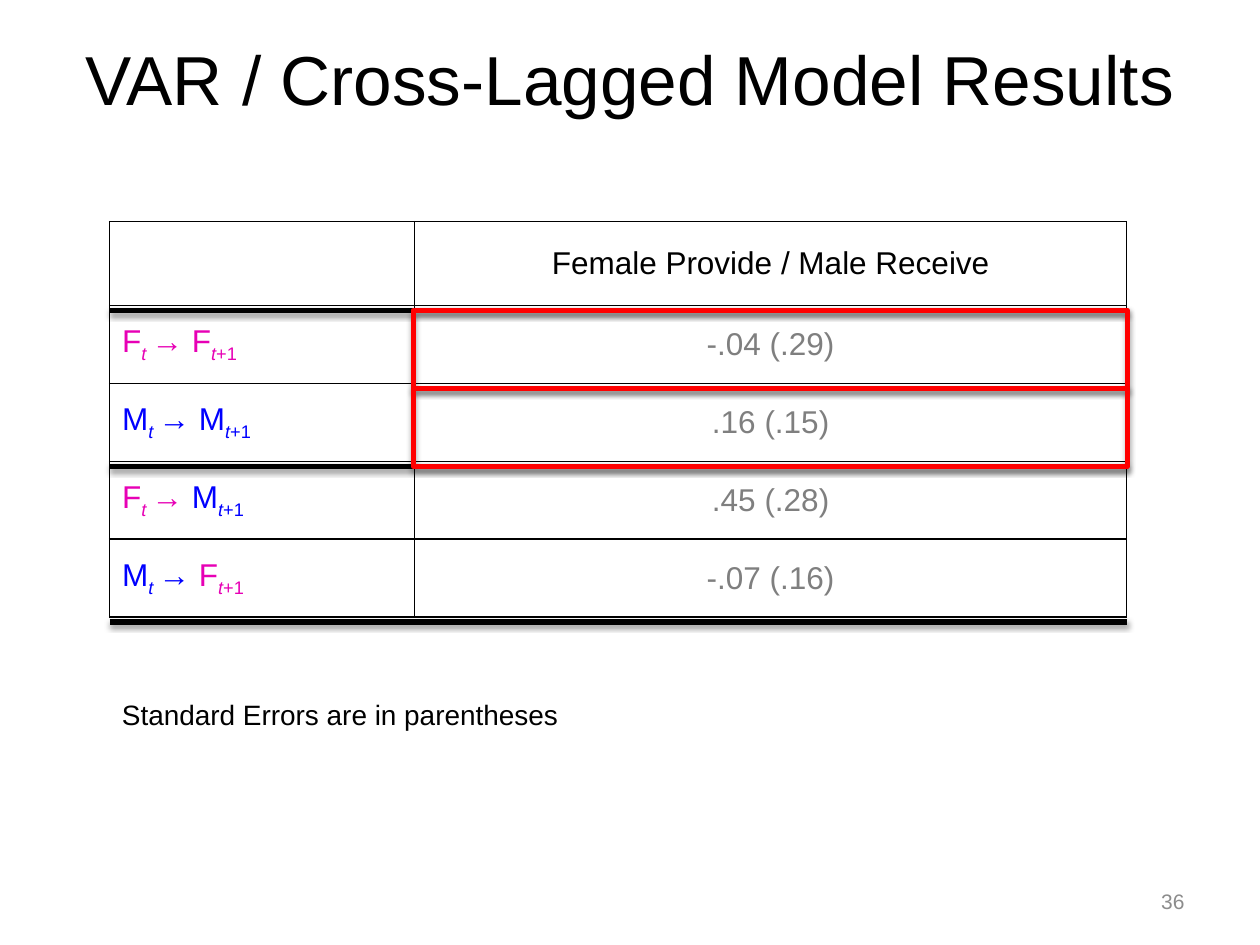
from lxml import etree
from pptx import Presentation
from pptx.dml.color import RGBColor
from pptx.enum.shapes import MSO_CONNECTOR, MSO_SHAPE
from pptx.enum.text import MSO_ANCHOR, PP_ALIGN
from pptx.oxml.ns import qn
from pptx.util import Cm, Pt

LEFT, CENTER, RIGHT = PP_ALIGN.LEFT, PP_ALIGN.CENTER, PP_ALIGN.RIGHT
TOP, MIDDLE = MSO_ANCHOR.TOP, MSO_ANCHOR.MIDDLE
STRAIGHT, RECTANGLE = MSO_CONNECTOR.STRAIGHT, MSO_SHAPE.RECTANGLE

BLACK = RGBColor(0x00, 0x00, 0x00)
GRAY = RGBColor(0x7F, 0x7F, 0x7F)
NUMBER_GRAY = RGBColor(0x8C, 0x8C, 0x8C)
RED = RGBColor(0xFF, 0x00, 0x00)
PERSON_COLORS = {"F": RGBColor(0xE7, 0x00, 0xB5), "M": RGBColor(0x00, 0x00, 0xFF)}

FONT = "Arial"
COLUMN_WIDTHS = (6.15, 14.35)
HEADER_HEIGHT, ROW_HEIGHT = 1.69, 1.57
HEADER = "Female Provide / Male Receive"
RESULTS = [
    ("F", "F", "-.04 (.29)"),
    ("M", "M", ".16 (.15)"),
    ("F", "M", ".45 (.28)"),
    ("M", "F", "-.07 (.16)"),
]


def add_run(paragraph, text, size, color, italic=False, subscript=False):
    run = paragraph.add_run()
    run.text = text
    formats = {"name": FONT, "size": Pt(size), "italic": italic}
    for name, value in formats.items():
        setattr(run.font, name, value)
    run.font.color.rgb = color
    if subscript:
        run._r.get_or_add_rPr().set("baseline", "-25000")


def add_text(slide, box, text, size, color, align=LEFT, anchor=TOP):
    frame = slide.shapes.add_textbox(*map(Cm, box)).text_frame
    formats = {"word_wrap": True, "vertical_anchor": anchor}
    for name, value in formats.items():
        setattr(frame, name, value)
    paragraph = frame.paragraphs[0]
    paragraph.alignment = align
    add_run(paragraph, text, size, color)


def add_shadow(shape, distance, opacity):
    """Give the shape a soft shadow falling straight down."""
    properties = shape._element.spPr
    effects = properties.find(qn("a:effectLst"))
    if effects is None:
        effects = etree.SubElement(properties, qn("a:effectLst"))
    shadow = etree.SubElement(
        effects, qn("a:outerShdw"), blurRad=str(Pt(3.1)), dist=str(Pt(distance)),
        dir="5400000", rotWithShape="0")
    color = etree.SubElement(shadow, qn("a:srgbClr"), val=str(BLACK))
    etree.SubElement(color, qn("a:alpha"), val=str(opacity * 1000))


def add_borders(cell):
    properties = cell._tc.get_or_add_tcPr()
    for index, side in enumerate(("lnL", "lnR", "lnT", "lnB")):
        line = etree.Element(qn(f"a:{side}"), w=str(Pt(1)))
        fill = etree.SubElement(line, qn("a:solidFill"))
        etree.SubElement(fill, qn("a:srgbClr"), val=str(BLACK))
        properties.insert(index, line)


def add_path_label(paragraph, source, target):
    """Write a lagged path such as F at t → M at t+1."""
    source_color, target_color = PERSON_COLORS[source], PERSON_COLORS[target]
    add_run(paragraph, source, 18, source_color)
    add_run(paragraph, "t ", 18, source_color, italic=True, subscript=True)
    add_run(paragraph, "→ ", 18, source_color)
    add_run(paragraph, target, 18, target_color)
    add_run(paragraph, "t", 18, target_color, italic=True, subscript=True)
    add_run(paragraph, "+1", 18, target_color, subscript=True)


def add_results_table(slide, left, top):
    height = HEADER_HEIGHT + ROW_HEIGHT * len(RESULTS)
    box = (left, top, sum(COLUMN_WIDTHS), height)
    table = slide.shapes.add_table(len(RESULTS) + 1, 2, *map(Cm, box)).table
    table.first_row = table.horz_banding = False
    for column, width in zip(table.columns, COLUMN_WIDTHS):
        column.width = Cm(width)
    for index, row in enumerate(table.rows):
        row.height = Cm(ROW_HEIGHT if index else HEADER_HEIGHT)
    for cell in table.iter_cells():
        cell.fill.background()
        cell.vertical_anchor = MIDDLE
        add_borders(cell)

    # Header and result texts
    values = [(HEADER, BLACK)] + [(value, GRAY) for _, _, value in RESULTS]
    for index, (value, color) in enumerate(values):
        paragraph = table.cell(index, 1).text_frame.paragraphs[0]
        paragraph.alignment = CENTER
        add_run(paragraph, value, 18, color)
    for index, (source, target, _) in enumerate(RESULTS, start=1):
        add_path_label(table.cell(index, 0).text_frame.paragraphs[0], source, target)


def add_emphasis(slide, left, top):
    """Draw heavy rules and red frames, with top at the first rule."""
    # Rules after the header, the second and the last result
    right = left + sum(COLUMN_WIDTHS)
    for rows_below in (0, 2, 4):
        y = top + rows_below * ROW_HEIGHT
        rule = slide.shapes.add_connector(STRAIGHT, Cm(left), Cm(y), Cm(right), Cm(y))
        rule.line.color.rgb = BLACK
        rule.line.width = Pt(3)
        add_shadow(rule, 1.6, 38)

    # Frames around the first two results
    for index in range(2):
        box = (left + COLUMN_WIDTHS[0] - 0.03, top + index * ROW_HEIGHT,
               COLUMN_WIDTHS[1] + 0.05, ROW_HEIGHT)
        frame = slide.shapes.add_shape(RECTANGLE, *map(Cm, box))
        frame.shadow.inherit = False
        frame.fill.background()
        frame.line.color.rgb = RED
        frame.line.width = Pt(3)
        add_shadow(frame, 1.8, 35)


def main():
    presentation = Presentation()
    presentation.slide_width, presentation.slide_height = Cm(25.4), Cm(19.05)
    slide = presentation.slides.add_slide(presentation.slide_layouts[6])

    # Title and slide number
    add_text(slide, (1.27, 0.76, 22.86, 1.63), "VAR / Cross-Lagged Model Results",
             39.6, BLACK, CENTER, MIDDLE)
    add_text(slide, (18.2, 17.66, 5.93, 1.01), "36", 12, NUMBER_GRAY, RIGHT, MIDDLE)

    # Results and footnote
    add_results_table(slide, 2.21, 4.47)
    add_emphasis(slide, 2.21, 6.26)
    add_text(slide, (2.21, 13.94, 17.02, 0.94), "Standard Errors are in parentheses",
             16, BLACK)

    presentation.save("out.pptx")


if __name__ == "__main__":
    main()
